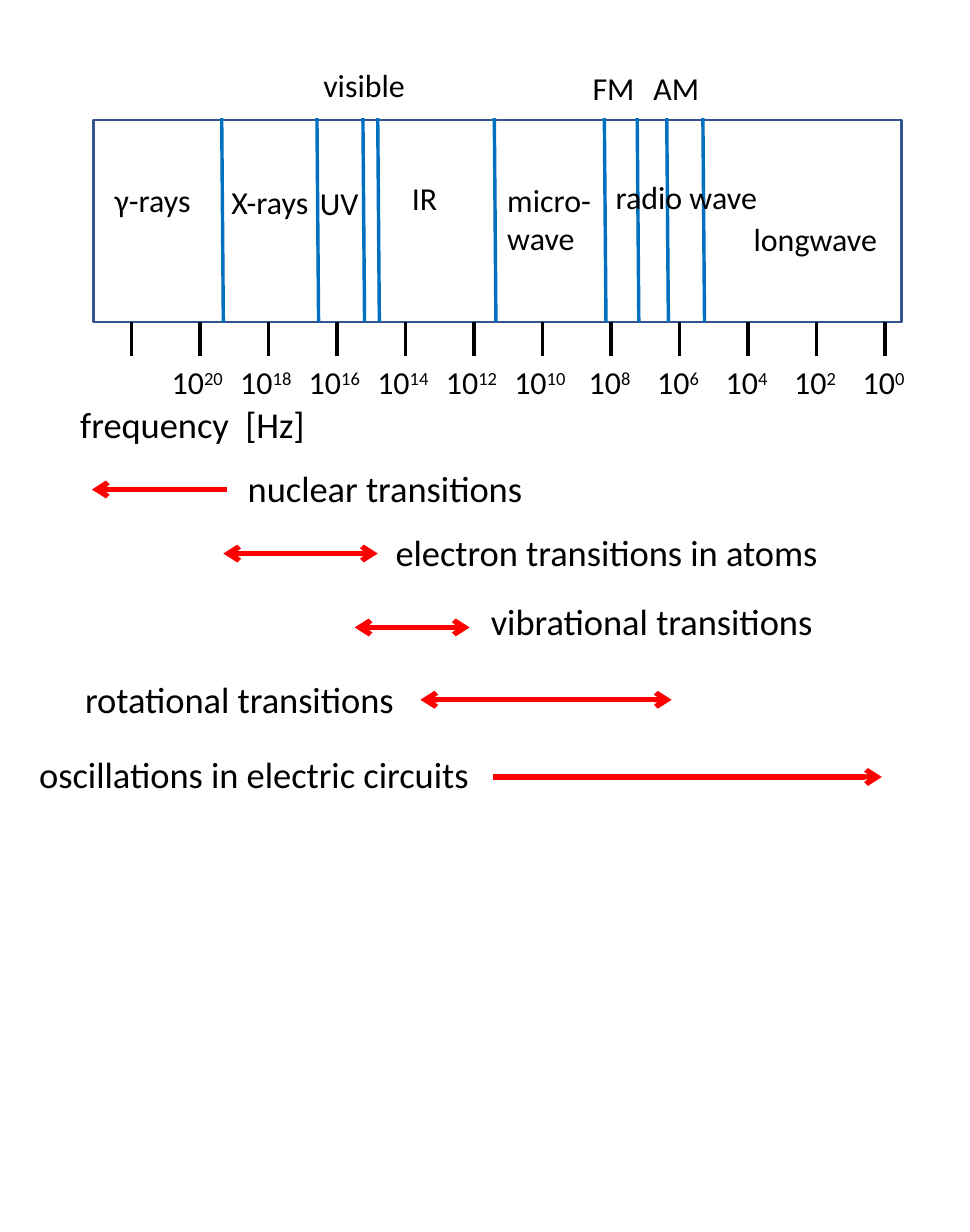
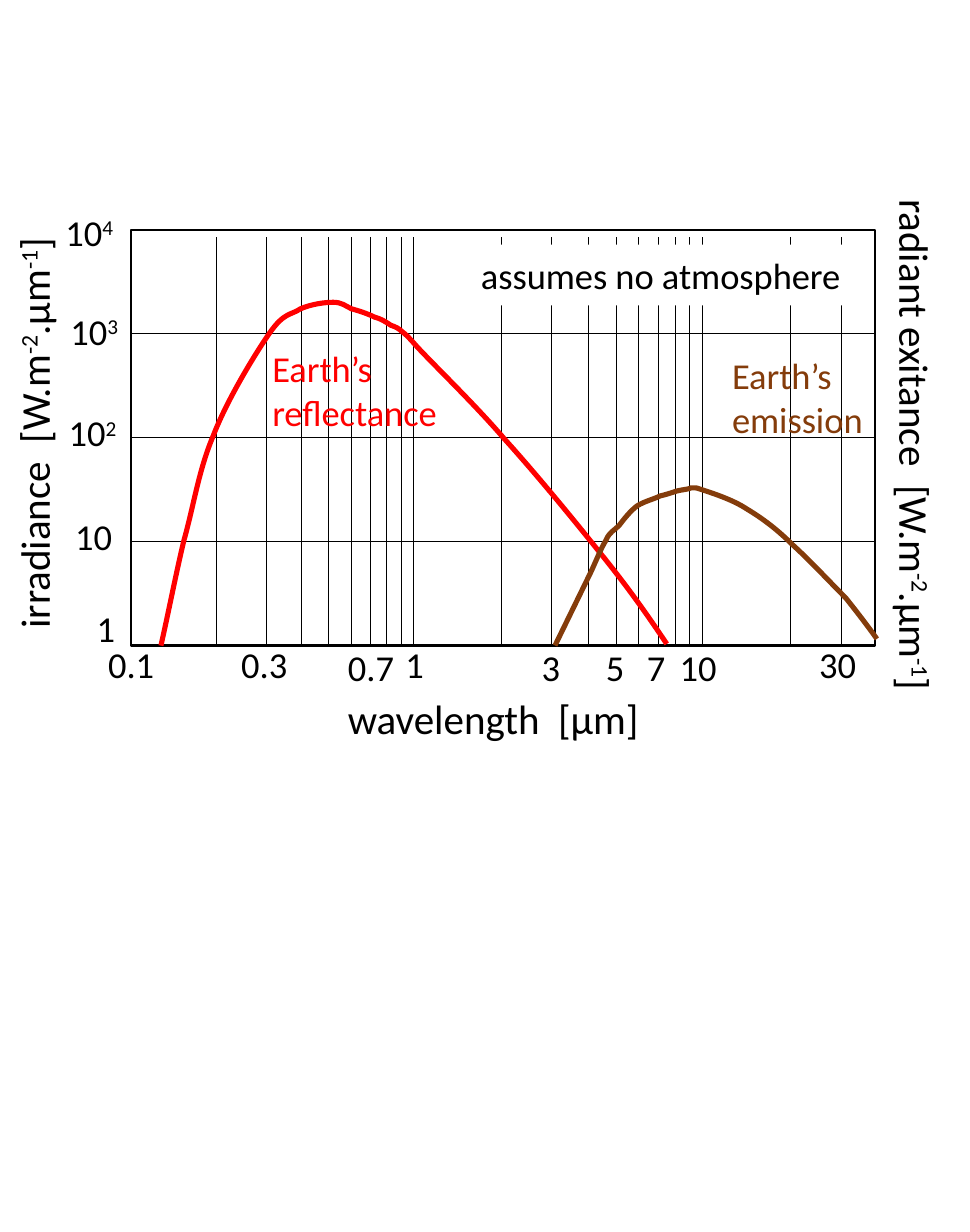
"""Build two slides: the electromagnetic spectrum and the Earth's radiation curves."""
import math

import lxml.etree
import pptx
import pptx.dml.color
import pptx.enum.shapes
import pptx.enum.text
import pptx.oxml.ns
import pptx.util

INCH = pptx.util.Inches
SLIDE_WIDTH, SLIDE_HEIGHT = pptx.util.Pt(425.25), pptx.util.Pt(540)
BLACK, RED, BROWN = "000000", "FF0000", "843C0B"
FRAME_BLUE, BAND_BLUE, WHITE = "325491", "0070C0", "FFFFFF"
FONT = "Calibri"
LINE_HEIGHT = {14: 0.34, 16: 0.37, 18: 0.4}

SPECTRUM = (0.57, 0.73, 4.92, 1.23)
BAND_EDGES = (1.35, 1.93, 2.21, 2.3, 3.01, 3.68, 3.88, 4.06, 4.28)
BAND_NAMES = [
    ("γ-rays", 0.6, 1.05, 0.66), ("X-rays", 1.31, 1.06, 0.68),
    ("UV", 1.85, 1.07, 0.44), ("visible", 1.87, 0.35, 0.71),
    ("micro-\nwave", 2.99, 1.05, 0.71), ("IR", 2.41, 1.04, 0.36),
    ("FM", 3.51, 0.37, 0.46), ("AM", 3.88, 0.37, 0.48),
    ("radio wave", 3.65, 1.03, 1.07), ("longwave", 4.49, 1.29, 0.96),
]
EXPONENTS = (None, 20, 18, 16, 14, 12, 10, 8, 6, 4, 2, 0)
FIRST_TICK, LAST_TICK, TICK_LENGTH = 0.8, 5.39, 0.21
TRANSITIONS = [
    ("nuclear transitions", (1.41, 2.79, 1.89), (0.56, 1.38, 2.98), ("head",)),
    ("electron transitions in atoms", (2.31, 3.18, 2.81), (1.36, 2.3, 3.37), ("head", "tail")),
    ("vibrational transitions", (2.89, 3.6, 2.19), (2.16, 2.86, 3.82), ("head", "tail")),
    ("rotational transitions", (0.42, 4.07, 2.16), (2.56, 4.09, 4.26), ("head", "tail")),
    ("oscillations in electric circuits", (0.14, 4.53, 2.85), (3, 5.37, 4.73), ("tail",)),
]

PLOT = (0.8, 1.4, 4.53, 2.53)
DECADES = [(0.8, 1.72, range(2, 10)), (2.52, 1.76, range(1, 10)), (4.28, 1.76, range(1, 4))]
PER_AREA = ["^-2", ".μm", "^-1", "]"]
AXIS_TITLES = [
    (["wavelength  [μm]"], 2.02, 4.17, 2, 0),
    (["irradiance  [W.m"] + PER_AREA, -1.12, 2.4, 2.65, 270),
    (["radiant exitance  [W.m"] + PER_AREA, 3.94, 2.55, 3.27, 90),
]
SCALE_LABELS = [
    (["1"], 0.49, 3.64, 0.32), (["10"], 0.36, 3.08, 0.43),
    (["10", "^2"], 0.32, 2.45, 0.51), (["10", "^3"], 0.33, 1.83, 0.51),
    (["10", "^4"], 0.3, 1.23, 0.51),
    (["0.1"], 0.56, 3.86, 0.49), (["0.3"], 1.37, 3.86, 0.49),
    (["0.7"], 2.02, 3.88, 0.49), (["1"], 2.37, 3.86, 0.32),
    (["3"], 3.2, 3.88, 0.32), (["5"], 3.59, 3.88, 0.32),
    (["7"], 3.84, 3.88, 0.32), (["10"], 4.04, 3.88, 0.43),
    (["30"], 4.89, 3.86, 0.43),
]
REFLECTANCE = [
    (0.98, 3.93),
    (1.03, 3.71, 1.07, 3.5, 1.12, 3.29), (1.18, 3.08, 1.21, 2.86, 1.3, 2.65),
    (1.38, 2.44, 1.55, 2.16, 1.64, 2.03), (1.73, 1.9, 1.77, 1.92, 1.83, 1.88),
    (1.9, 1.85, 1.98, 1.84, 2.03, 1.84), (2.08, 1.84, 2.1, 1.86, 2.14, 1.88),
    (2.18, 1.89, 2.24, 1.91, 2.28, 1.93), (2.32, 1.94, 2.35, 1.96, 2.38, 1.98),
    (2.41, 1.99, 2.43, 2, 2.45, 2.02), (2.48, 2.04, 2.53, 2.1, 2.53, 2.1),
    (2.63, 2.21, 2.89, 2.46, 3.07, 2.67), (3.26, 2.88, 3.49, 3.16, 3.65, 3.36),
    (3.82, 3.57, 3.94, 3.74, 4.06, 3.92),
]
EMISSION = [
    (3.38, 3.93),
    (3.38, 3.93, 3.6, 3.48, 3.6, 3.48), (3.65, 3.37, 3.66, 3.34, 3.69, 3.29),
    (3.71, 3.24, 3.74, 3.23, 3.77, 3.2), (3.8, 3.16, 3.84, 3.11, 3.88, 3.08),
    (3.93, 3.05, 3.98, 3.04, 4.02, 3.02), (4.06, 3.01, 4.09, 3, 4.12, 2.99),
    (4.16, 2.98, 4.19, 2.98, 4.21, 2.97), (4.24, 2.97, 4.25, 2.97, 4.27, 2.98),
    (4.33, 3, 4.46, 3.04, 4.55, 3.1), (4.65, 3.16, 4.74, 3.23, 4.83, 3.32),
    (4.93, 3.41, 5.06, 3.55, 5.15, 3.64), (5.23, 3.74, 5.29, 3.82, 5.34, 3.89),
]


def rgb(value):
    return pptx.dml.color.RGBColor.from_string(value)


def sub(parent, tag, **attributes):
    return lxml.etree.SubElement(parent, pptx.oxml.ns.qn(tag), **attributes)


def stroke(item, color, width):
    item.line.color.rgb = rgb(color)
    item.line.width = pptx.util.Pt(width)


def add_line(shapes, start, end, color, width, arrows=()):
    line = shapes.add_connector(
        pptx.enum.shapes.MSO_CONNECTOR.STRAIGHT, *map(INCH, start + end))
    stroke(line, color, width)
    for side in arrows:
        sub(line.line._get_or_add_ln(), f"a:{side}End", type="arrow")
    sub(line._element.spPr, "a:effectLst")
    return line


def add_frame(shapes, box, color=None, width=1, fill=None):
    frame = shapes.add_shape(pptx.enum.shapes.MSO_SHAPE.RECTANGLE, *map(INCH, box))
    frame.shadow.inherit = False
    if fill:
        frame.fill.solid()
        frame.fill.fore_color.rgb = rgb(fill)
    else:
        frame.fill.background()
    if color:
        stroke(frame, color, width)
    else:
        frame.line.fill.background()
    return frame


def write(shape, paragraphs, size, color):
    frame = shape.text_frame
    frame.word_wrap = False
    frame.auto_size = pptx.enum.text.MSO_AUTO_SIZE.SHAPE_TO_FIT_TEXT
    for index, parts in enumerate(paragraphs):
        paragraph = frame.paragraphs[0] if index == 0 else frame.add_paragraph()
        paragraph.alignment = pptx.enum.text.PP_ALIGN.LEFT
        for part in parts:
            run = paragraph.add_run()
            run.text = part.lstrip("^")
            run.font.name = FONT
            run.font.size = pptx.util.Pt(size)
            run.font.color.rgb = rgb(color)
            if part.startswith("^"):
                run._r.get_or_add_rPr().set("baseline", "30000")


def add_text(slide, paragraphs, left, top, width, size, color=BLACK, rotation=0):
    height = LINE_HEIGHT[size] + (len(paragraphs) - 1) * size * 1.2 / 72
    box = slide.shapes.add_textbox(*map(INCH, (left, top, width, height)))
    box.rotation = rotation
    write(box, paragraphs, size, color)


def add_curve(slide, segments, color):
    points = [[(round(s[i] * 100), round(s[i + 1] * 100)) for i in range(0, len(s), 2)]
              for s in segments]
    ends = [segment[-1] for segment in points]
    left, top = min(x for x, _ in ends), min(y for _, y in ends)
    builder = slide.shapes.build_freeform(*ends[0], scale=INCH(0.01))
    builder.add_line_segments(ends[1:], close=False)
    curve = builder.convert_to_shape()
    curve.shadow.inherit = False
    curve.fill.background()
    stroke(curve, color, 2.25)
    straight = list(curve._element.iter(pptx.oxml.ns.qn("a:lnTo")))
    for step, segment in zip(straight, points[1:]):
        bend = lxml.etree.Element(pptx.oxml.ns.qn("a:cubicBezTo"))
        for x, y in segment:
            sub(bend, "a:pt", x=str(x - left), y=str(y - top))
        step.getparent().replace(step, bend)


def build_spectrum(slide):
    left, top, width, height = SPECTRUM
    bottom = top + height
    bands = slide.shapes.add_group_shape().shapes
    add_frame(bands, SPECTRUM, FRAME_BLUE)
    for x in BAND_EDGES:
        add_line(bands, (x, top - 0.01), (x + 0.01, bottom), BAND_BLUE, 1.5)
    for name, x, y, name_width in BAND_NAMES:
        add_text(slide, [[row] for row in name.split("\n")], x, y, name_width, 14)
    ticks = slide.shapes.add_group_shape().shapes
    pitch = (LAST_TICK - FIRST_TICK) / (len(EXPONENTS) - 1)
    for index, exponent in enumerate(EXPONENTS):
        x = FIRST_TICK + index * pitch
        add_line(ticks, (x, bottom + TICK_LENGTH), (x, bottom), BLACK, 1.5)
        if exponent is not None:
            label_width = 0.54 if exponent >= 10 else 0.47
            add_text(slide, [["10", f"^{exponent}"]], x - label_width / 2, 2.16, label_width, 14)
    add_text(slide, [["frequency  [Hz]"]], 0.39, 2.4, 1.59, 16)
    for name, place, (start, end, y), arrows in TRANSITIONS:
        add_line(slide.shapes, (start, y), (end, y), RED, 2.25, arrows)
        add_text(slide, [[name]], *place, 16)


def build_radiation(slide):
    left, top, width, height = PLOT
    plot = add_frame(slide.shapes, PLOT, BLACK)
    for row in (1, 2, 3):
        y = top + height * row / 4
        level = add_line(slide.shapes, (left, y), (left + width, y), BLACK, 0.5)
        if row == 2:
            level.begin_connect(plot, 1)
            level.end_connect(plot, 3)
    for start, decade, digits in DECADES:
        for digit in digits:
            x = start + decade * math.log10(digit)
            add_line(slide.shapes, (x, top + height - 0.01), (x, top + 0.04),
                     BLACK, 0.5 if digit == 1 else 0.25)
    add_curve(slide, REFLECTANCE, RED)
    add_curve(slide, EMISSION, BROWN)
    for title, x, y, title_width, rotation in AXIS_TITLES:
        add_text(slide, [title], x, y, title_width, 18, rotation=rotation)
    for label, x, y, label_width in SCALE_LABELS:
        add_text(slide, [label], x, y, label_width, 16)
    assumption = add_frame(slide.shapes, (2.83, 1.49, 2.42, 0.37), fill=WHITE)
    write(assumption, [["assumes no atmosphere"]], 16, BLACK)
    add_text(slide, [["Earth’s"], ["emission"]], 4.36, 2.1, 1.03, 16, BROWN)
    add_text(slide, [["Earth’s"], ["reflectance"]], 1.56, 2.06, 1.22, 16, RED)


def main():
    deck = pptx.Presentation()
    deck.slide_width, deck.slide_height = SLIDE_WIDTH, SLIDE_HEIGHT
    deck.element.sldSz.attrib.pop("type", None)
    for build in (build_spectrum, build_radiation):
        build(deck.slides.add_slide(deck.slide_layouts[6]))
    deck.save("out.pptx")


if __name__ == "__main__":
    main()
